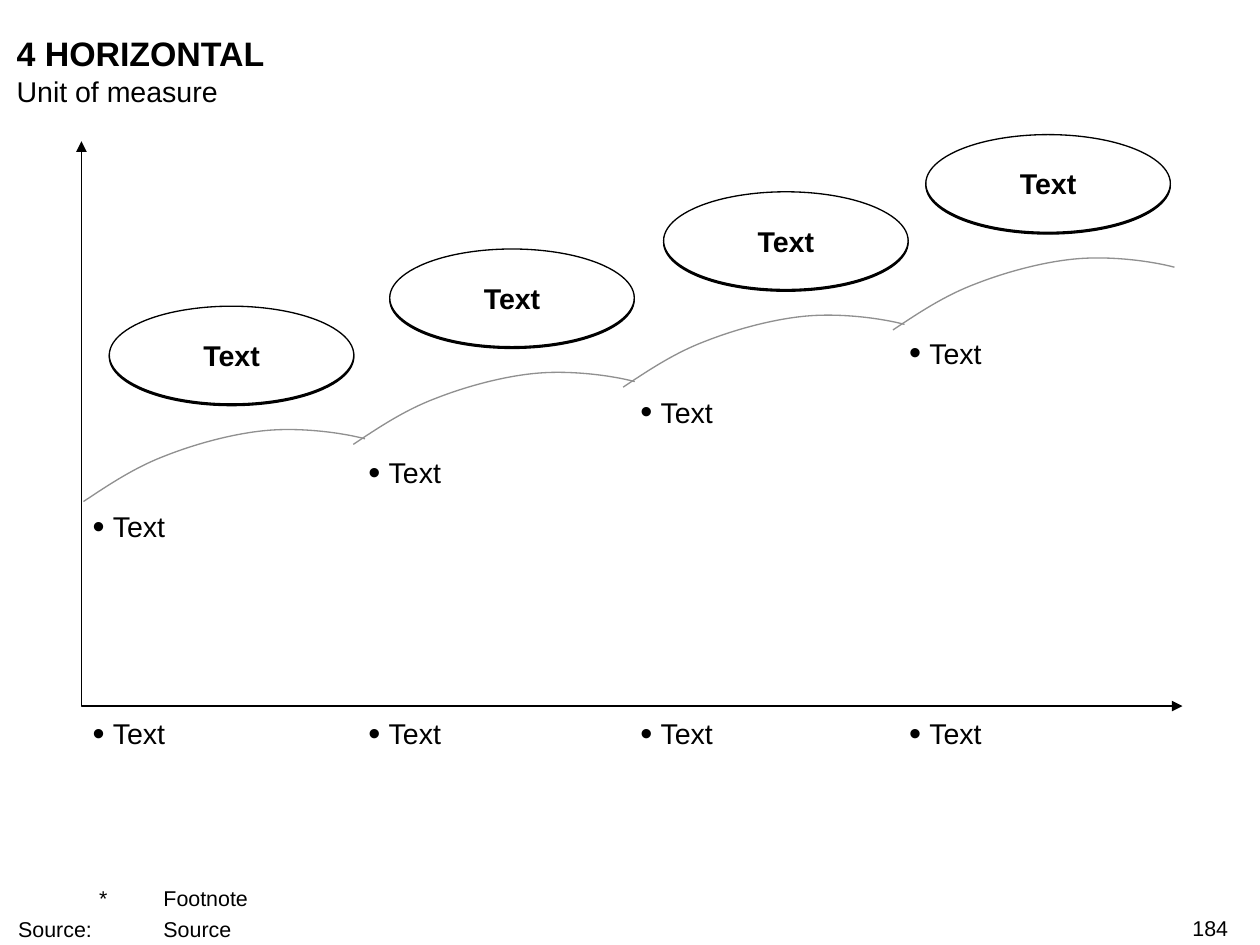
from lxml.etree import SubElement
from pptx import Presentation
from pptx.dml.color import RGBColor
from pptx.enum.shapes import MSO_SHAPE as Shape
from pptx.enum.text import MSO_ANCHOR as Anchor, PP_ALIGN as Align
from pptx.oxml.ns import qn
from pptx.util import Cm, Pt

BLACK, WHITE, GREY = "000000", "FFFFFF", "909090"
TITLE = "4 HORIZONTAL"
UNIT = "Unit of measure"
FOOTNOTES = ["\t*\tFootnote", "Source:\t\tSource"]
PAGE_NUMBER = "184"
STAGES = [
    {"oval": "Text", "oval_left": 2.16, "note": "Text", "note_top": 10.06, "axis": "Text", "left": 1.83},
    {"oval": "Text", "oval_left": 7.7, "note": "Text", "note_top": 8.99, "axis": "Text", "left": 7.28},
    {"oval": "Text", "oval_left": 13.11, "note": "Text", "note_top": 7.8, "axis": "Text", "left": 12.65},
    {"oval": "Text", "oval_left": 18.29, "note": "Text", "note_top": 6.63, "axis": "Text", "left": 17.96},
]
AXES = [(1.61, 2.79), (1.61, 13.95), (23.36, 13.95)]
AXIS_LABEL_TOP = 14.15
CURVE = [(0, 0), (0.51, -0.34), (1.02, -0.68), (1.63, -0.91), (2.24, -1.15),
         (3.02, -1.36), (3.68, -1.41), (4.34, -1.46), (5.11, -1.36), (5.56, -1.24)]
CURVE_LEFT, CURVE_TOP, CURVE_STEP = 1.65, 9.91, 5.33
OVAL_TOP, OVAL_WIDTH, OVAL_HEIGHT = 6.05, 4.83, 1.93
RISE = 1.13
FOOTNOTE_TABS = [(0, "l"), (1.47, "r"), (2.49, "l")]


def color(value):
    return RGBColor.from_string(value)


def set_font(paragraph, size, bold=False):
    font = paragraph.font
    font.name, font.size, font.bold = "Arial", Pt(size), bold
    font.color.rgb = color(BLACK)


def clear_margins(frame):
    frame.margin_left = frame.margin_right = frame.margin_top = frame.margin_bottom = 0
    frame.word_wrap = True


def hang(paragraph, indent):
    properties = paragraph._p.get_or_add_pPr()
    properties.set("marL", str(Cm(indent)))
    properties.set("indent", str(-Cm(indent)))
    return properties


def add_text(slide, lines, left, top, width, height, size, bold=False):
    frame = slide.shapes.add_textbox(Cm(left), Cm(top), Cm(width), Cm(height)).text_frame
    clear_margins(frame)
    for index, line in enumerate(lines):
        paragraph = frame.add_paragraph() if index else frame.paragraphs[0]
        paragraph.add_run().text = line
        set_font(paragraph, size, bold)
    return frame


def add_bullet(slide, text, left, top):
    frame = slide.shapes.add_textbox(Cm(left), Cm(top), Cm(5.2), Cm(0.68)).text_frame
    clear_margins(frame)
    paragraph = frame.paragraphs[0]
    properties = hang(paragraph, 0.4)
    bullet_color = SubElement(properties, qn("a:buClr"))
    SubElement(bullet_color, qn("a:srgbClr"), val=BLACK)
    SubElement(properties, qn("a:buSzPct"), val="120000")
    SubElement(properties, qn("a:buFont"), typeface="Arial")
    SubElement(properties, qn("a:buChar"), char="•")
    paragraph.add_run().text = text
    set_font(paragraph, 16)


def add_outline(slide, points, line_color):
    points = [(Cm(x), Cm(y)) for x, y in points]
    builder = slide.shapes.build_freeform(*points[0])
    builder.add_line_segments(points[1:], close=False)
    shape = builder.convert_to_shape()
    shape.shadow.inherit = False
    shape.fill.background()
    shape.line.color.rgb = color(line_color)
    shape.line.width = Pt(0.75)
    return shape


def add_curve(slide, left, top):
    shape = add_outline(slide, [(left + x, top + y) for x, y in CURVE], GREY)
    outline = next(shape._element.iter(qn("a:path")))
    segments = outline.findall(qn("a:lnTo"))
    for first in range(0, len(segments), 3):
        bezier = SubElement(outline, qn("a:cubicBezTo"))
        for segment in segments[first:first + 3]:
            bezier.append(segment[0])
            outline.remove(segment)


def add_oval(slide, text, left, top):
    shape = slide.shapes.add_shape(Shape.OVAL, Cm(left), Cm(top), Cm(OVAL_WIDTH), Cm(OVAL_HEIGHT))
    shape.shadow.inherit = False
    shape.fill.solid()
    shape.fill.fore_color.rgb = color(WHITE)
    shape.line.color.rgb = color(BLACK)
    shape.line.width = Pt(0.75)
    effects = shape._element.spPr.find(qn("a:effectLst"))
    shadow = SubElement(effects, qn("a:outerShdw"), dist=str(Pt(1)), dir="5400000", rotWithShape="0")
    SubElement(shadow, qn("a:srgbClr"), val=BLACK)
    frame = shape.text_frame
    clear_margins(frame)
    frame.vertical_anchor = Anchor.MIDDLE
    paragraph = frame.paragraphs[0]
    paragraph.add_run().text = text
    paragraph.alignment = Align.CENTER
    set_font(paragraph, 16, bold=True)


def add_footnotes(slide):
    frame = add_text(slide, FOOTNOTES, 0.36, 17.48, 22.68, 1.12, 12)
    frame.vertical_anchor = Anchor.BOTTOM
    for paragraph in frame.paragraphs:
        properties = hang(paragraph, 1.6)
        tabs = SubElement(properties, qn("a:tabLst"))
        for position, side in FOOTNOTE_TABS:
            SubElement(tabs, qn("a:tab"), pos=str(Cm(position)), algn=side)
        properties.find(qn("a:defRPr")).addprevious(tabs)
    frame.paragraphs[1].space_before = Pt(3)


def main():
    presentation = Presentation()
    presentation.slide_width, presentation.slide_height = Cm(24.89), Cm(18.67)
    slide = presentation.slides.add_slide(presentation.slide_layouts[6])

    add_text(slide, [TITLE], 0.33, 0.64, 23.95, 0.81, 19, bold=True)
    add_text(slide, [UNIT], 0.33, 1.47, 23.95, 0.69, 16)

    axes = add_outline(slide, AXES, BLACK)
    for end in ("a:headEnd", "a:tailEnd"):
        SubElement(axes.line._get_or_add_ln(), qn(end), type="triangle")

    for index, stage in enumerate(STAGES):
        rise = RISE * index
        add_curve(slide, CURVE_LEFT + CURVE_STEP * index, CURVE_TOP - rise)
        add_bullet(slide, stage["note"], stage["left"], stage["note_top"])
        add_bullet(slide, stage["axis"], stage["left"], AXIS_LABEL_TOP)
        add_oval(slide, stage["oval"], stage["oval_left"], OVAL_TOP - rise)

    add_footnotes(slide)
    page = add_text(slide, [PAGE_NUMBER], 19.08, 18.08, 5.18, 0.51, 12)
    page.paragraphs[0].alignment = Align.RIGHT
    presentation.save("out.pptx")


if __name__ == "__main__":
    main()
